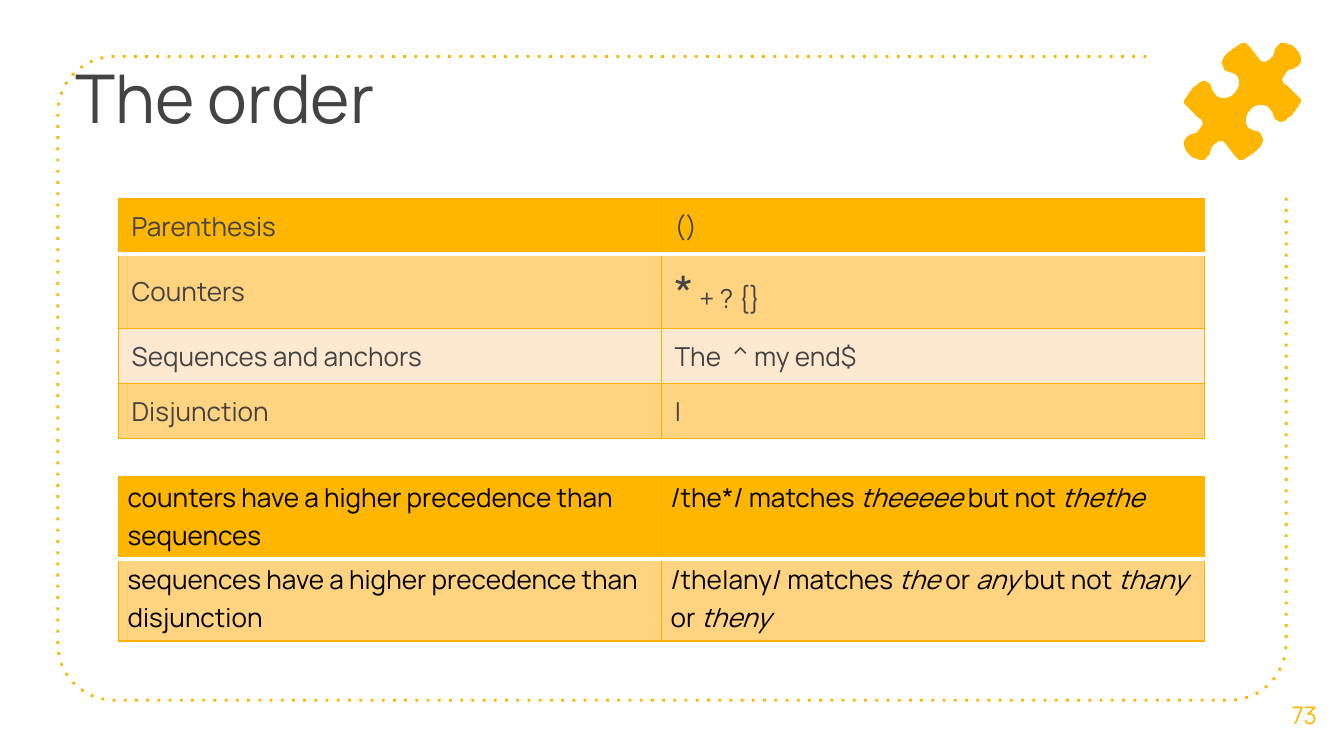
from math import cos, sin, radians
from lxml import etree
from pptx import Presentation
from pptx import util as u
from pptx.dml.color import RGBColor
from pptx.enum import text
from pptx.oxml.ns import qn

# Content: underscores switch to a table's alternate format and back
TITLE = "The order"
PAGE = "73"
ORDER = [
    ("Parenthesis", "()"),
    ("Counters", "_*_ + ? {}"),
    ("Sequences and anchors", "The  ^ my end$"),
    ("Disjunction", "|"),
]
RULES = [
    ("counters have a higher precedence than sequences",
     "/the*/ matches _theeeee _but not _thethe_"),
    ("sequences have a higher precedence than disjunction",
     "/the|any/ matches _the _or _any _but not _thany _or _theny_"),
]
COLOR = {"gold": "FFB600", "edge": "F9B200", "band": "FFD37F",
         "pale": "FFE8D0", "gray": "434343", "black": "000000",
         "white": "FFFFFF"}
FILLS = ["gold", "band", "pale", "band"]
FONT = "Manrope"

# Half of the puzzle piece; the other half is this turned by 180 degrees
MID = (9.245, 0.755)
HALF = [
    (9.24, .32), (9.21, .34), (9.18, .36), (9.14, .39), (9.11, .42),
    (9.1, .44), (9.09, .47), (9.1, .49), (9.11, .52), (9.13, .53),
    (9.16, .54), (9.19, .55), (9.21, .57), (9.22, .6), (9.22, .63),
    (9.21, .66), (9.19, .69), (9.17, .71), (9.15, .72), (9.12, .73),
    (9.09, .73), (9.06, .72), (9.04, .7), (9.02, .67), (9.01, .64),
    (9, .62), (8.98, .61), (8.96, .6), (8.93, .61), (8.91, .63),
    (8.88, .65), (8.85, .69), (8.83, .72), (8.81, .75), (8.81, .77),
    (8.83, .79), (8.86, .82), (8.91, .87), (8.94, .89), (8.95, .92),
    (8.94, .94), (8.92, .97), (8.9, .99), (8.86, 1), (8.83, 1.02),
    (8.81, 1.05), (8.81, 1.08), (8.82, 1.11), (8.84, 1.14), (8.87, 1.17),
    (8.9, 1.18), (8.93, 1.19), (8.96, 1.19), (8.98, 1.17), (9, 1.15),
    (9.01, 1.11), (9.02, 1.09), (9.04, 1.07), (9.07, 1.05), (9.1, 1.05),
    (9.12, 1.07), (9.15, 1.11), (9.19, 1.16), (9.22, 1.19),
]


def rgb(name):
    return RGBColor.from_string(COLOR[name])


def write(frame, words, size=14, color="gray", align=text.PP_ALIGN.LEFT,
          space=1.0, alt=None):
    para = frame.paragraphs[0]
    para.alignment = align
    para.line_spacing = space
    parts = words.split("_") if alt else [words]
    for i, part in enumerate(parts):
        if not part:
            continue
        run = para.add_run()
        run.text = part
        font = run.font
        font.name, font.size = FONT, u.Pt(size)
        font.color.rgb = rgb(color)
        if i % 2:
            for key, val in alt.items():
                setattr(font, key, val)


def outline(slide, pts, close):
    pts = [(u.Inches(x), u.Inches(y)) for x, y in pts]
    pen = slide.shapes.build_freeform(*pts[0])
    pen.add_line_segments(pts[1:], close=close)
    shape = pen.convert_to_shape()
    shape.shadow.inherit = False
    return shape


def arc(x, y, rad, start):
    """Quarter turn, anticlockwise on the page, from a start angle."""
    turns = [radians(start - 7.5 * i) for i in range(13)]
    return [(x + rad * cos(t), y + rad * sin(t)) for t in turns]


def border(cell, side, color, width):
    line = etree.SubElement(cell._tc.get_or_add_tcPr(), qn("a:" + side),
                            w=str(u.Pt(width)))
    fill = etree.SubElement(line, qn("a:solidFill"))
    etree.SubElement(fill, qn("a:srgbClr"), val=COLOR[color])


def grid(slide, rows, top, high, pad, anchor, **form):
    table = slide.shapes.add_table(
        len(rows), 2, u.Inches(0.88), u.Inches(top),
        u.Inches(8.08), u.Inches(high * len(rows))).table
    table.first_row = table.horz_banding = False
    for r, row in enumerate(rows):
        table.rows[r].height = u.Inches(high)
        for c, words in enumerate(row):
            cell = table.cell(r, c)
            for side in ("lnL", "lnR", "lnT", "lnB"):
                split = (r, side) in ((0, "lnB"), (1, "lnT"))
                border(cell, side, *(("white", 2) if split
                                     else ("edge", 0.75)))
            cell.fill.solid()
            cell.fill.fore_color.rgb = rgb(FILLS[r])
            cell.margin_left = cell.margin_right = u.Inches(pad[0])
            cell.margin_top = cell.margin_bottom = u.Inches(pad[1])
            cell.vertical_anchor = anchor
            write(cell.text_frame, words, **form)


def place(shape, left, top, wide, high, anchor):
    shape.left, shape.top = u.Inches(left), u.Inches(top)
    shape.width, shape.height = u.Inches(wide), u.Inches(high)
    frame = shape.text_frame
    frame.word_wrap = True
    frame.auto_size = text.MSO_AUTO_SIZE.NONE
    frame.vertical_anchor = anchor
    frame.margin_left = frame.margin_right = u.Inches(0.1)
    frame.margin_top = frame.margin_bottom = u.Inches(0.1)
    return frame


def main():
    deck = Presentation()
    deck.slide_width = u.Inches(10)
    deck.slide_height = deck.slide_width * 9 // 16
    slide = deck.slides.add_slide(deck.slide_layouts[5])
    top, middle = text.MSO_ANCHOR.TOP, text.MSO_ANCHOR.MIDDLE

    # Dotted frame, open at the puzzle piece
    rad = 0.42
    track = [(8.53, 0.42), *arc(0.85, 0.84, rad, 270),
             *arc(0.85, 4.79, rad, 180), *arc(9.15, 4.79, rad, 90),
             (9.57, 1.46)]
    rim = outline(slide, track, False)
    rim.fill.background()
    rim.line.color.rgb = rgb("gold")
    rim.line.width = u.Pt(1.5)
    edge = rim._element.spPr.find(qn("a:ln"))
    etree.SubElement(edge, qn("a:prstDash"), val="dot")

    # Title and page number
    write(place(slide.shapes.title, 0.46, 0.32, 7.51, 0.94, top),
          TITLE, size=36)
    box = slide.shapes.add_textbox(0, 0, 0, 0)
    write(place(box, 9.41, 5.02, 0.59, 0.6, middle), PAGE, size=13,
          color="gold", align=text.PP_ALIGN.CENTER)

    # Puzzle piece
    turned = [(2 * MID[0] - x, 2 * MID[1] - y) for x, y in HALF]
    piece = outline(slide, HALF + turned, True)
    piece.fill.solid()
    piece.fill.fore_color.rgb = rgb("gold")
    piece.line.fill.background()

    # Tables
    grid(slide, RULES, 3.55, 0.61, (0.07, 0), top,
         color="black", space=1.07, alt={"italic": True})
    grid(slide, ORDER, 1.48, 0.41, (0.1, 0.05), middle,
         alt={"size": u.Pt(24)})
    deck.save("out.pptx")


if __name__ == "__main__":
    main()
